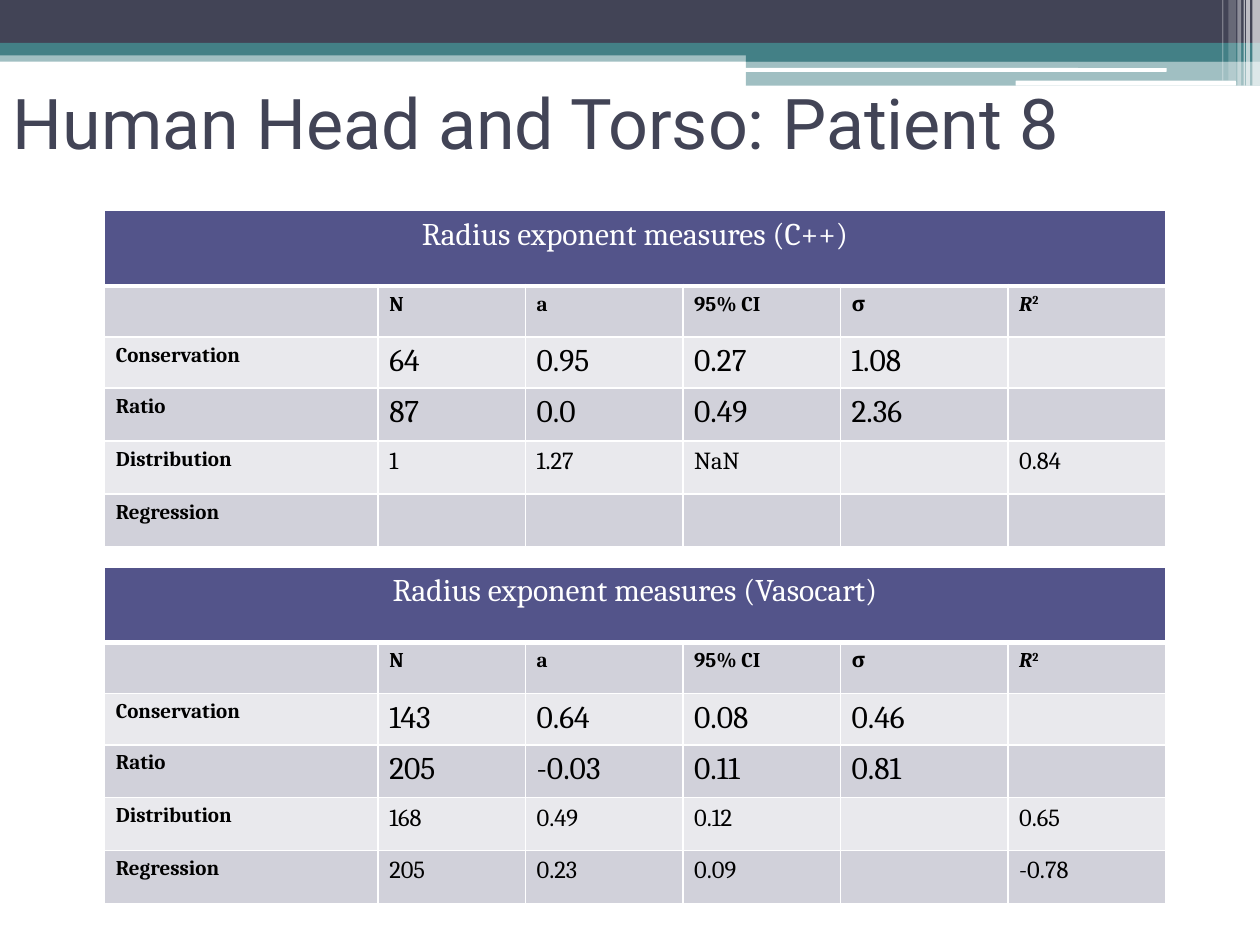
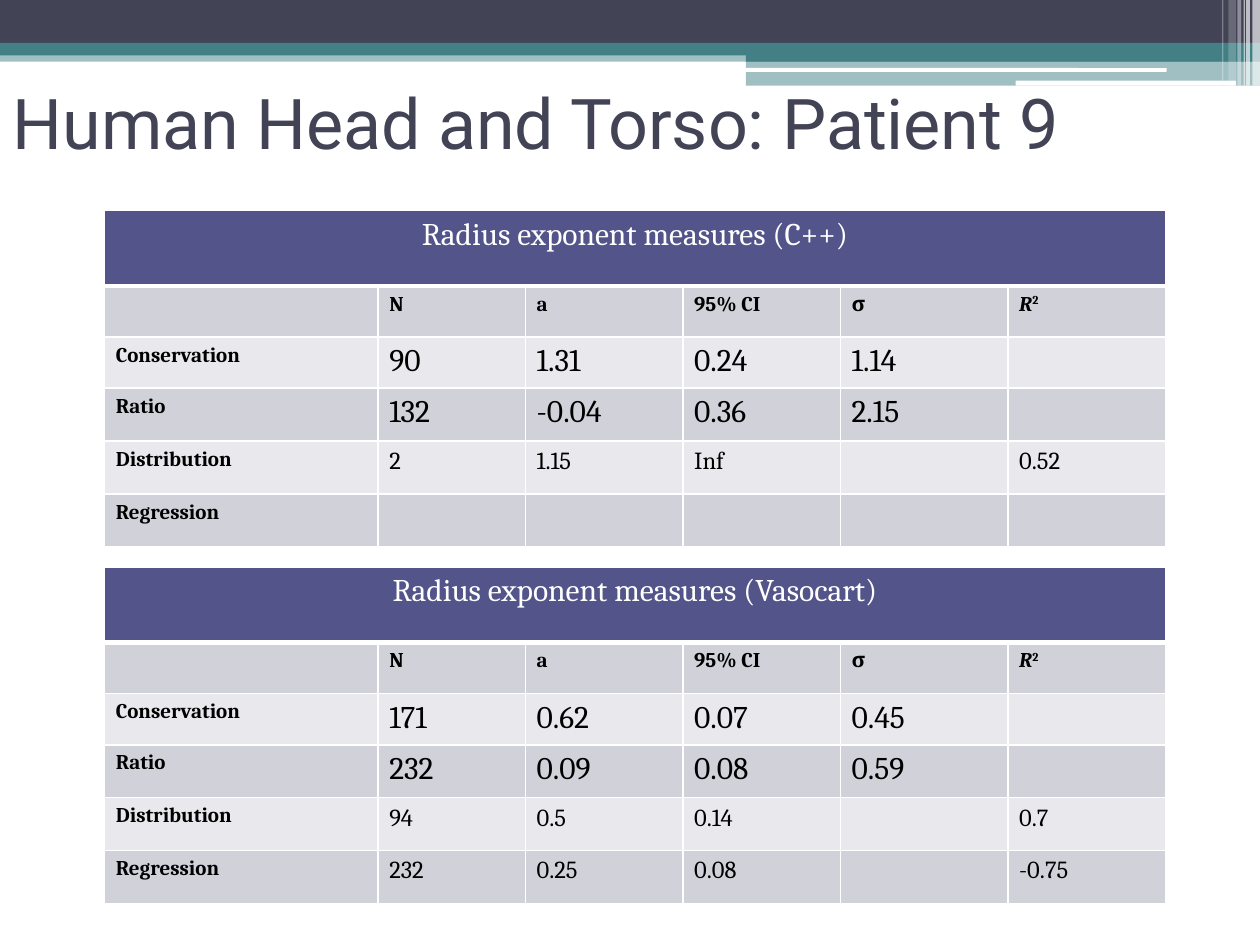
from lxml import etree
from pptx import Presentation
from pptx.dml.color import RGBColor
from pptx.enum.shapes import MSO_SHAPE as SHAPE
from pptx.enum.text import MSO_ANCHOR as ANCHOR, MSO_AUTO_SIZE as AUTO, PP_ALIGN as ALIGN
from pptx.oxml import parse_xml
from pptx.oxml.ns import nsdecls, qn
from pptx.util import Pt

PX = 9144
DARK, TEAL, WHITE, BLACK = "424456", "438086", "FFFFFF", "000000"
HEAD, ODD, EVEN = "53548A", "D1D1DA", "E9E9ED"

BANDS = [
    (SHAPE.RECTANGLE, 0, 40, 1000, 9, TEAL, 50),
    (SHAPE.RECTANGLE, 0, 0, 1000, 34, DARK, 100),
    (SHAPE.RECTANGLE, 0, 34, 1000, 10, TEAL, 100),
    (SHAPE.RECTANGLE, 592, 39, 408, 10, TEAL, 100),
    (SHAPE.RECTANGLE, 592, 48, 408, 20, TEAL, 50),
    (SHAPE.ROUNDED_RECTANGLE, 591, 54, 335, 3, WHITE, 100),
    (SHAPE.ROUNDED_RECTANGLE, 806, 64, 175, 4, WHITE, 100),
    (SHAPE.RECTANGLE, 994, 0, 6, 68, WHITE, 65),
    (SHAPE.RECTANGLE, 989, 0, 3, 68, WHITE, 65),
    (SHAPE.RECTANGLE, 987, 0, 1, 68, WHITE, 60),
    (SHAPE.RECTANGLE, 982, 0, 3, 68, WHITE, 40),
    (SHAPE.RECTANGLE, 975, 0, 6, 64, WHITE, 20),
    (SHAPE.RECTANGLE, 970, 0, 1, 64, WHITE, 30),
]

COLS = [217, 117, 125, 125, 133, 125]
ROWS = [60, 40, 40, 42, 42, 42]
HEADER = ["", "N", "a", "95% CI", "σ", "R2"]
LABELS = ["Conservation", "Ratio", "Distribution", "Regression"]
TABLES = [("C++", 167), ("Vasocart", 450)]

PATIENTS = {
    8: [
        [
            ["64", "0.95", "0.27", "1.08", ""],
            ["87", "0.0", "0.49", "2.36", ""],
            ["1", "1.27", "NaN", "", "0.84"],
            [""] * 5,
        ],
        [
            ["143", "0.64", "0.08", "0.46", ""],
            ["205", "-0.03", "0.11", "0.81", ""],
            ["168", "0.49", "0.12", "", "0.65"],
            ["205", "0.23", "0.09", "", "-0.78"],
        ],
    ],
    9: [
        [
            ["90", "1.31", "0.24", "1.14", ""],
            ["132", "-0.04", "0.36", "2.15", ""],
            ["2", "1.15", "Inf", "", "0.52"],
            [""] * 5,
        ],
        [
            ["171", "0.62", "0.07", "0.45", ""],
            ["232", "0.09", "0.08", "0.59", ""],
            ["94", "0.5", "0.14", "", "0.7"],
            ["232", "0.25", "0.08", "", "-0.75"],
        ],
    ],
}


def rgb(color):
    return RGBColor.from_string(color)


def style(p, size, color, bold=False, font="Cambria"):
    for r in p.runs:
        r.font.name = font
        r.font.size = Pt(size)
        r.font.bold = bold
        r.font.color.rgb = rgb(color)


prs = Presentation()
prs.slide_width, prs.slide_height = 1000 * PX, 750 * PX
layout = prs.slide_layouts[5]
slides = [prs.slides.add_slide(layout) for _ in PATIENTS]

for i, (kind, x, y, w, h, color, alpha) in enumerate(BANDS):
    sp = slides[0].shapes.add_shape(kind, x * PX, y * PX, w * PX, h * PX)
    sp.shadow.inherit = False
    sp.fill.solid()
    sp.fill.fore_color.rgb = rgb(color)
    sp.line.fill.background()
    if alpha < 100:
        clr = sp.element.spPr.find(".//" + qn("a:srgbClr"))
        etree.SubElement(clr, qn("a:alpha"), val=str(alpha * 1000))
    sp.element.find(".//" + qn("p:cNvPr")).set("id", str(20 + i))
    layout.shapes.element.append(sp.element)

for s, (patient, measures) in zip(slides, PATIENTS.items()):
    for (program, top), values in zip(TABLES, measures):
        frame = s.shapes.add_table(len(ROWS), len(COLS), 83 * PX, top * PX,
                                   sum(COLS) * PX, sum(ROWS) * PX)
        tbl = frame.table
        tbl.first_row = tbl.horz_banding = False
        for col, w in zip(tbl.columns, COLS):
            col.width = w * PX
        for row, h in zip(tbl.rows, ROWS):
            row.height = h * PX

        title_row = [f"Radius exponent measures ({program})"] + [""] * 5
        body = [[label] + row for label, row in zip(LABELS, values)]
        for i, texts in enumerate([title_row, HEADER] + body):
            for j, text in enumerate(texts):
                cell = tbl.cell(i, j)
                cell.margin_left = cell.margin_right = 9 * PX
                cell.fill.solid()
                cell.fill.fore_color.rgb = rgb(HEAD if i == 0 else ODD if i % 2 else EVEN)
                for k, side in enumerate("LRTB"):
                    width = Pt(3 if i == 0 and side == "B" else 1)
                    cell._tc.get_or_add_tcPr().insert(k, parse_xml(
                        f'<a:ln{side} {nsdecls("a")} w="{width}"><a:solidFill>'
                        f'<a:srgbClr val="{WHITE}"/></a:solidFill></a:ln{side}>'))
                p = cell.text_frame.paragraphs[0]
                if text == "R2":
                    for part in text:
                        p.add_run().text = part
                    p.runs[0].font.italic = True
                    p.runs[1]._r.get_or_add_rPr().set("baseline", "30000")
                elif text:
                    p.text = text
                if i == 0:
                    p.alignment = ALIGN.CENTER
                    style(p, 18, WHITE)
                elif i == 1 or j == 0:
                    style(p, 12, BLACK, bold=True)
                else:
                    style(p, 18 if i < 4 else 14, BLACK)
        tbl.cell(0, 0).merge(tbl.cell(0, len(COLS) - 1))

    title = s.shapes.title
    title.left, title.top, title.width, title.height = 0, 58 * PX, 900 * PX, 117 * PX
    tf = title.text_frame
    tf.text = f"Human Head and Torso: Patient {patient}"
    tf.word_wrap = True
    tf.auto_size = AUTO.NONE
    tf.vertical_anchor = ANCHOR.TOP
    p = tf.paragraphs[0]
    p.alignment = ALIGN.LEFT
    style(p, 40, DARK, font="Roboto")
    s.shapes.element.append(title.element)

prs.save("out.pptx")
